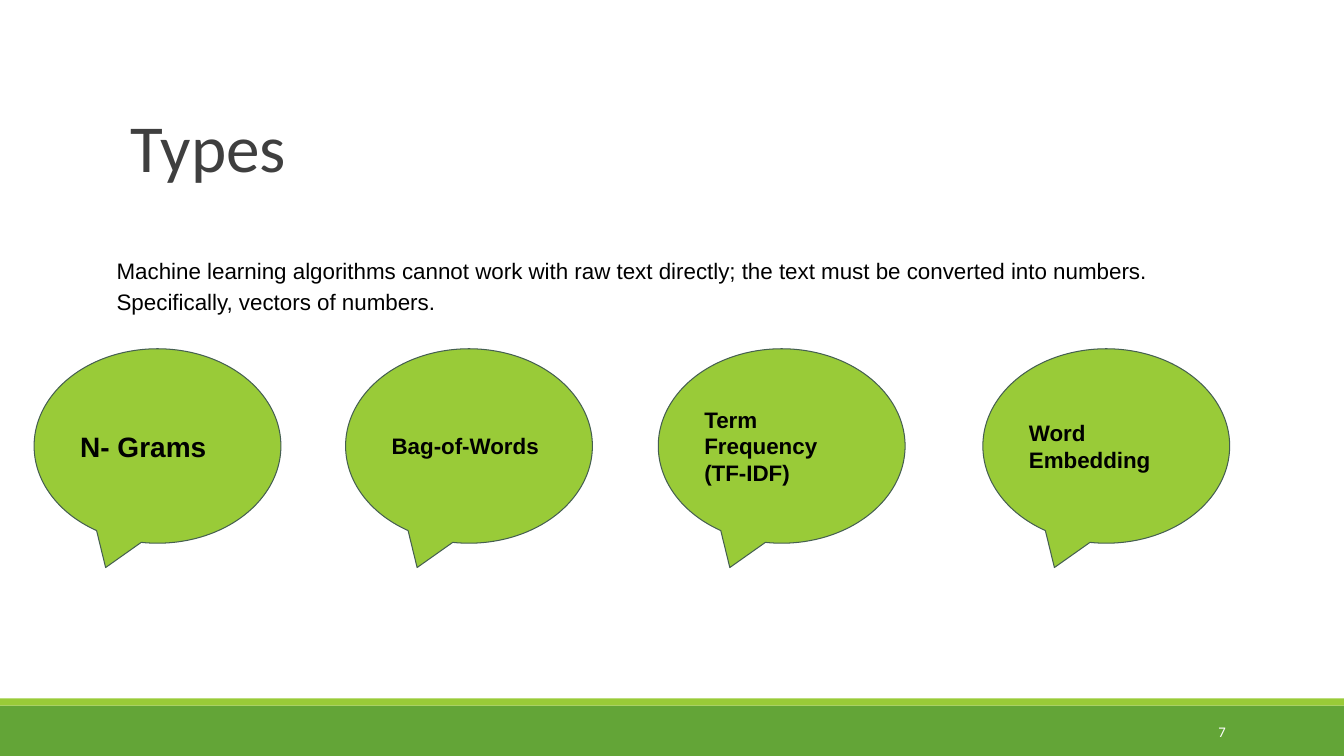
"""Build the "Types" slide on turning text into vectors."""
from dataclasses import dataclass

from pptx import Presentation
from pptx.dml.color import RGBColor
from pptx.enum import shapes, text
from pptx.util import Cm, Pt


@dataclass(frozen=True)
class Theme:
    """Colours, fonts and type sizes of the slide."""
    dark_green: str = "63A537"
    light_green: str = "99CB38"
    outline: str = "455F51"
    title_grey: str = "3F3F3F"
    black: str = "000000"
    white: str = "FFFFFF"
    heading_font: str = "Calibri"
    body_font: str = "Arial"
    title_size: float = 48
    large_size: float = 20
    body_size: float = 16
    number_size: float = 10.5


THEME = Theme()
CALLOUT_TOP, CALLOUT_WIDTH, CALLOUT_HEIGHT = 8.79, 6.22, 4.9
CALLOUTS = [
    (0.86, ["N- Grams"], THEME.large_size),
    (8.71, ["Bag-of-Words"], THEME.body_size),
    (16.59, ["Term Frequency", "(TF-IDF)"], THEME.body_size),
    (24.77, ["Word Embedding"], THEME.body_size),
]


def box(left, top, width, height):
    """Return a position and size given in centimetres."""
    return Cm(left), Cm(top), Cm(width), Cm(height)


def set_frame(shape, anchor, vertical_inset):
    """Set wrapping, anchor and insets, and return the text frame."""
    frame = shape.text_frame
    frame.word_wrap = True
    frame.auto_size = text.MSO_AUTO_SIZE.NONE
    frame.vertical_anchor = anchor
    frame.margin_left = frame.margin_right = Cm(0.25)
    frame.margin_top = frame.margin_bottom = Cm(vertical_inset)
    return frame


def write(paragraph, words, size, font, color, bold=False,
          align=text.PP_ALIGN.LEFT):
    """Add one formatted run to a paragraph."""
    paragraph.alignment = align
    run = paragraph.add_run()
    run.text = words
    run.font.size = Pt(size)
    run.font.name = font
    run.font.bold = bold
    run.font.color.rgb = RGBColor.from_string(color)


def add_filled(slide, kind, position, fill, outline=None):
    """Add a preset shape with a plain fill and an optional outline."""
    shape = slide.shapes.add_shape(kind, *position)
    shape.shadow.inherit = False
    shape.fill.solid()
    shape.fill.fore_color.rgb = RGBColor.from_string(fill)
    if outline:
        shape.line.color.rgb = RGBColor.from_string(outline)
        shape.line.width = Pt(0.75)
    else:
        shape.line.fill.background()
    return shape


def add_footer(slide, number):
    """Add the two green bands and the slide number."""
    rectangle = shapes.MSO_SHAPE.RECTANGLE
    add_filled(slide, rectangle, box(0, 17.78, 33.87, 1.27), THEME.dark_green)
    add_filled(slide, rectangle, box(0, 17.6, 33.87, 0.18), THEME.light_green)
    shape = slide.shapes.add_textbox(*box(27.51, 17.93, 3.63, 1.02))
    frame = set_frame(shape, text.MSO_ANCHOR.MIDDLE, 0.13)
    write(frame.paragraphs[0], number, THEME.number_size, THEME.heading_font,
          THEME.white, align=text.PP_ALIGN.RIGHT)


def add_title(slide, words):
    """Move and fill the title placeholder."""
    title = slide.shapes.title
    title.left, title.top, title.width, title.height = box(3.05, 0.79, 27.94, 4.04)
    paragraph = set_frame(title, text.MSO_ANCHOR.BOTTOM, 0.13).paragraphs[0]
    paragraph.line_spacing = 0.85
    write(paragraph, words, THEME.title_size, THEME.heading_font, THEME.title_grey)


def add_introduction(slide, words):
    """Add the introductory sentences."""
    shape = slide.shapes.add_textbox(*box(2.69, 6.12, 28.93, 4.06))
    paragraph = set_frame(shape, text.MSO_ANCHOR.TOP, 0.25).paragraphs[0]
    paragraph.line_spacing = 1.15
    paragraph.space_before = Pt(18)
    write(paragraph, words, THEME.body_size, THEME.body_font, THEME.black)


def add_callout(slide, left, lines, size):
    """Add a speech bubble with one paragraph for each line."""
    position = box(left, CALLOUT_TOP, CALLOUT_WIDTH, CALLOUT_HEIGHT)
    shape = add_filled(slide, shapes.MSO_SHAPE.OVAL_CALLOUT, position,
                       THEME.light_green, THEME.outline)
    shape.adjustments[0] = -0.21
    shape.adjustments[1] = 0.625
    frame = set_frame(shape, text.MSO_ANCHOR.MIDDLE, 0.25)
    for index, line in enumerate(lines):
        paragraph = frame.add_paragraph() if index else frame.paragraphs[0]
        write(paragraph, line, size, THEME.body_font, THEME.black, bold=True)


def main():
    """Build and save the presentation."""
    presentation = Presentation()
    presentation.slide_width = Cm(33.87)
    presentation.slide_height = Cm(19.05)
    slide = presentation.slides.add_slide(presentation.slide_layouts[5])
    add_footer(slide, "7")
    add_title(slide, "Types")
    add_introduction(
        slide,
        "Machine learning algorithms cannot work with raw text directly; "
        "the text must be converted into numbers. "
        "Specifically, vectors of numbers.")
    for left, lines, size in CALLOUTS:
        add_callout(slide, left, lines, size)
    presentation.save("out.pptx")


if __name__ == "__main__":
    main()
